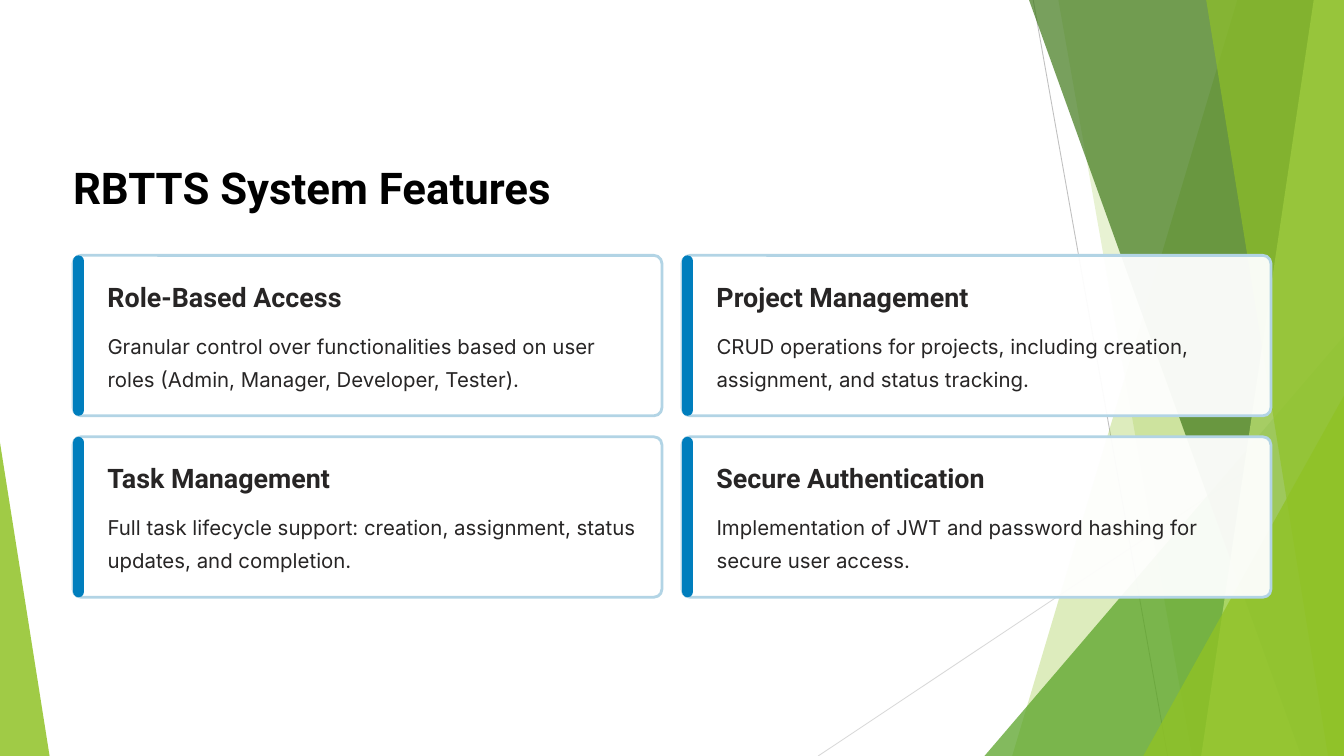
from pptx import Presentation
from pptx.dml.color import RGBColor
from pptx.enum.shapes import MSO_CONNECTOR as Connector, MSO_SHAPE as Shape
from pptx.enum.text import MSO_AUTO_SIZE as AutoSize
from pptx.oxml.ns import qn
from pptx.util import Inches, Pt
from lxml.etree import SubElement

COLUMNS, ROWS = 16, 9
GREEN, BLUE, PALE_BLUE, INK = "90C226", "007EBD", "B2D4E5", "272525"


def colour(hex_text):
    return RGBColor.from_string(hex_text)


def write(box, text, font="Inter", size=17.5, leading=28.5, ink=INK,
          bold=False, wrap=True):
    frame = box.text_frame
    frame.auto_size = AutoSize.NONE
    frame.word_wrap = wrap
    frame.margin_left = frame.margin_right = 0
    frame.margin_top = frame.margin_bottom = 0
    para = frame.paragraphs[0]
    para.line_spacing = Pt(leading)
    span = para.add_run()
    span.text = text
    span.font.name = font
    span.font.size = Pt(size)
    span.font.bold = bold
    span.font.color.rgb = colour(ink)


class Page:
    """A slide on a grid of 16 columns by 9 rows."""

    def __init__(self, deck):
        self.column = deck.slide_width / COLUMNS
        self.row = deck.slide_height / ROWS
        slide = deck.slides.add_slide(deck.slide_layouts[6])
        slide.background.fill.solid()
        slide.background.fill.fore_color.rgb = colour("FFFFFF")
        self.shapes = slide.shapes

    def place(self, *lengths):
        """Turn alternating columns and rows into slide units."""
        units = (self.column, self.row)
        return [round(length * units[i % 2]) for i, length in enumerate(lengths)]

    def paint(self, shape, fill, opacity=100, line=None, width=2.4):
        shape.shadow.inherit = False
        shape.fill.solid()
        shape.fill.fore_color.rgb = colour(fill)
        if opacity < 100:
            tint = shape.element.spPr.find(qn("a:solidFill"))[0]
            SubElement(tint, qn("a:alpha"), val=str(opacity * 1000))
        if line:
            shape.line.color.rgb = colour(line)
            shape.line.width = Pt(width)
        else:
            shape.line.fill.background()

    def line(self, start, end, ink):
        rule = self.shapes.add_connector(Connector.STRAIGHT, *self.place(*start, *end))
        rule.line.color.rgb = colour(ink)
        rule.line.width = Pt(0.75)
        SubElement(rule.element.spPr, qn("a:effectLst"))

    def facet(self, top, bottom, fill, opacity):
        """A band from a slanted left edge to the right side of the slide."""
        outline = self.shapes.build_freeform(*self.place(top, 0), scale=1.0)
        corners = [(COLUMNS, 0), (COLUMNS, ROWS), (bottom, ROWS)]
        outline.add_line_segments([self.place(*corner) for corner in corners])
        self.paint(outline.convert_to_shape(), fill, opacity)

    def shape(self, kind, at, adjust, fill, **style):
        shape = self.shapes.add_shape(kind, *self.place(*at))
        shape.adjustments[0] = adjust
        self.paint(shape, fill, **style)

    def text(self, at, words, **style):
        write(self.shapes.add_textbox(*self.place(*at)), words, **style)

    def card(self, left, top, heading, body):
        width, height = 7.01, 1.91
        self.shape(Shape.ROUNDED_RECTANGLE, (left, top, width, height), 0.05,
                   "FFFFFF", opacity=95, line=PALE_BLUE)
        self.shape(Shape.ROUNDED_RECTANGLE, (left, top, 0.13, height), 0.5, BLUE)
        self.text((left + 0.41, top + 0.28, 3.3, 0.41), heading,
                  font="Roboto", size=23, leading=29, bold=True, wrap=False)
        self.text((left + 0.41, top + 0.83, 6.31, 0.79), body)


def main():
    deck = Presentation()
    deck.slide_width, deck.slide_height = Inches(COLUMNS), Inches(ROWS)
    page = Page(deck)

    # Green backdrop
    page.line((12.3, 0), (13.9, 9), "BFBFBF")
    page.line((16, 4.83), (9.74, 9), "D9D9D9")
    page.facet(14.73, 12.05, GREEN, 30)
    page.facet(12.6, 14.19, GREEN, 20)
    page.shape(Shape.ISOSCELES_TRIANGLE, (11.72, 4, 4.28, 5), 1, "54A021", opacity=72)
    page.facet(12.25, 15.49, "3F7819", 70)
    page.facet(15.64, 14.3, "C0E474", 70)
    page.facet(14.36, 15.81, GREEN, 65)
    page.shape(Shape.ISOSCELES_TRIANGLE, (13.61, 4.71, 2.39, 4.29), 1, GREEN, opacity=80)
    page.shape(Shape.ISOSCELES_TRIANGLE, (0, 5.27, 0.59, 3.73), 0, GREEN, opacity=85)

    # Title
    page.text((0.87, 1.89, 5.57, 0.65), "RBTTS System Features", font="Roboto",
              size=37.5, leading=46.5, ink="000000", bold=True, wrap=False)

    # Feature cards, two by two
    features = [
        ("Role-Based Access",
         "Granular control over functionalities based on user roles "
         "(Admin, Manager, Developer, Tester)."),
        ("Project Management",
         "CRUD operations for projects, including creation, assignment, "
         "and status tracking."),
        ("Task Management",
         "Full task lifecycle support: creation, assignment, status updates, "
         "and completion."),
        ("Secure Authentication",
         "Implementation of JWT and password hashing for secure user access."),
    ]
    for index, (heading, body) in enumerate(features):
        down, across = divmod(index, 2)
        page.card(0.87 + 7.25 * across, 3.04 + 2.16 * down, heading, body)

    deck.save("out.pptx")


if __name__ == "__main__":
    main()
